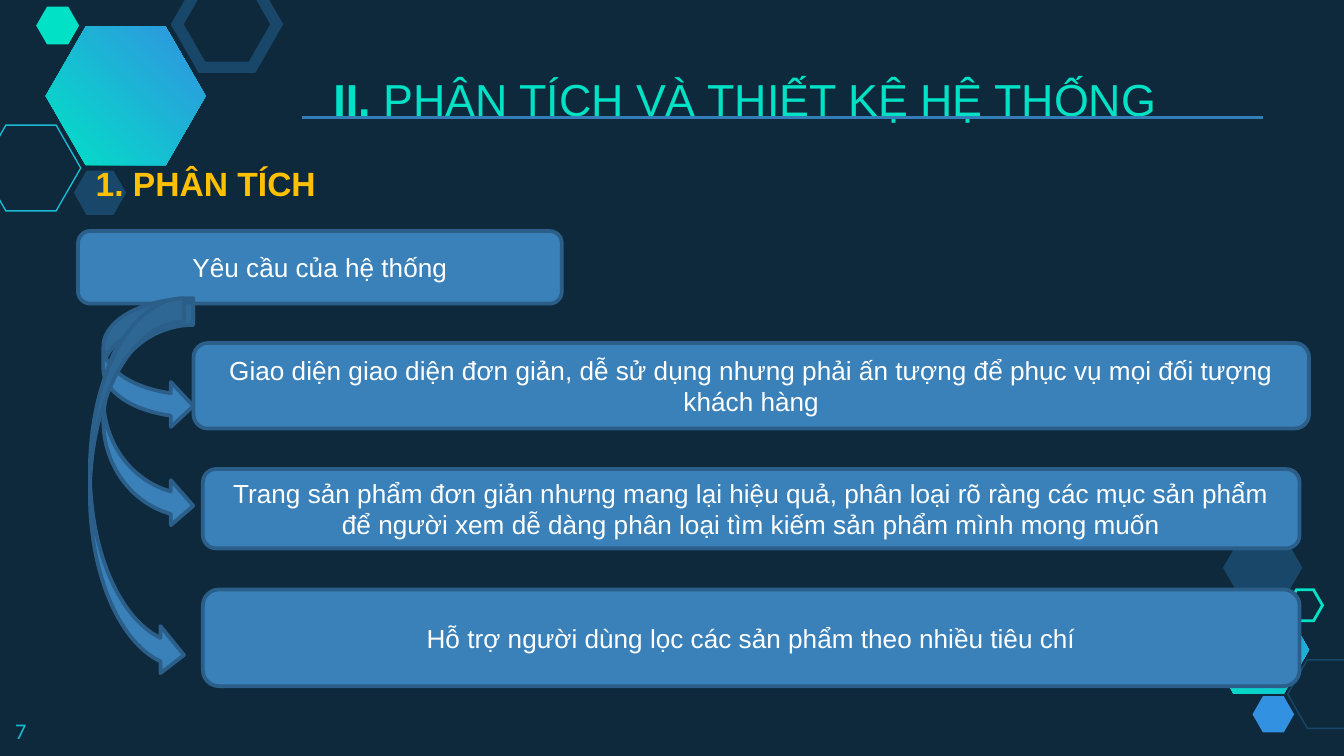
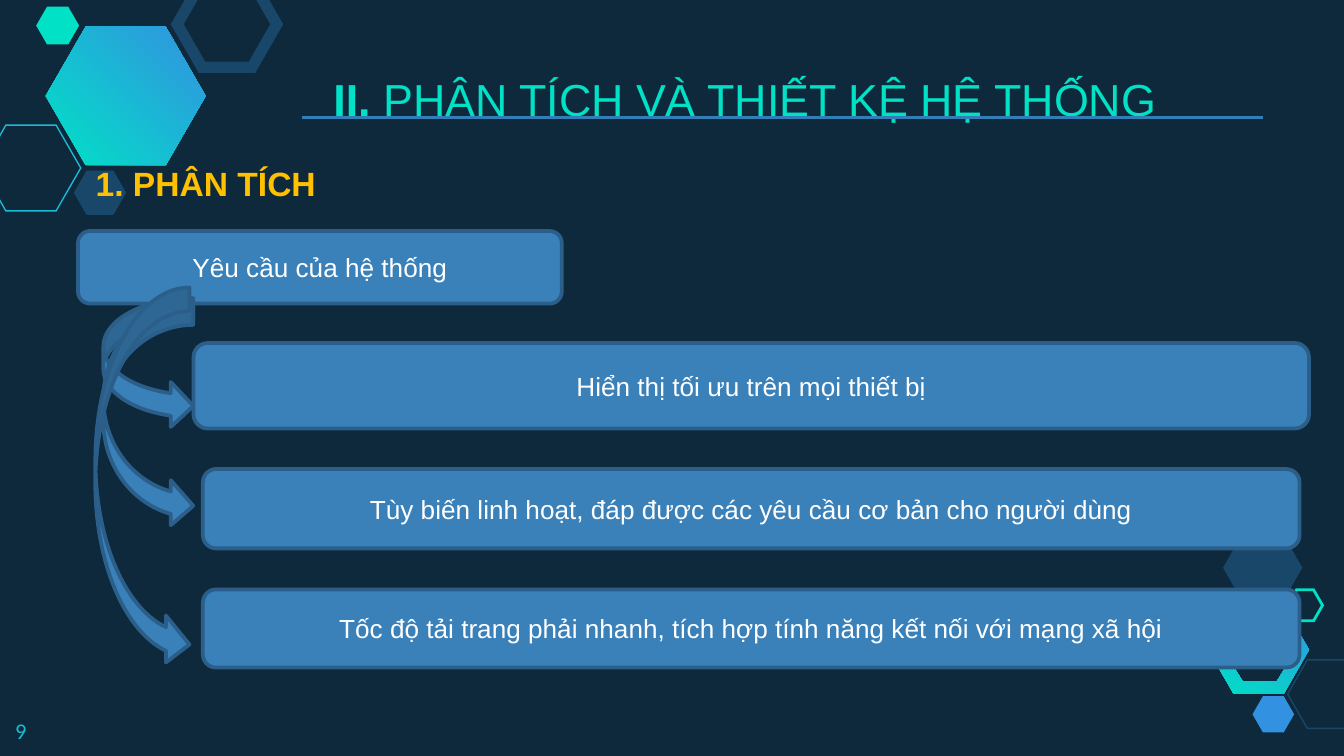
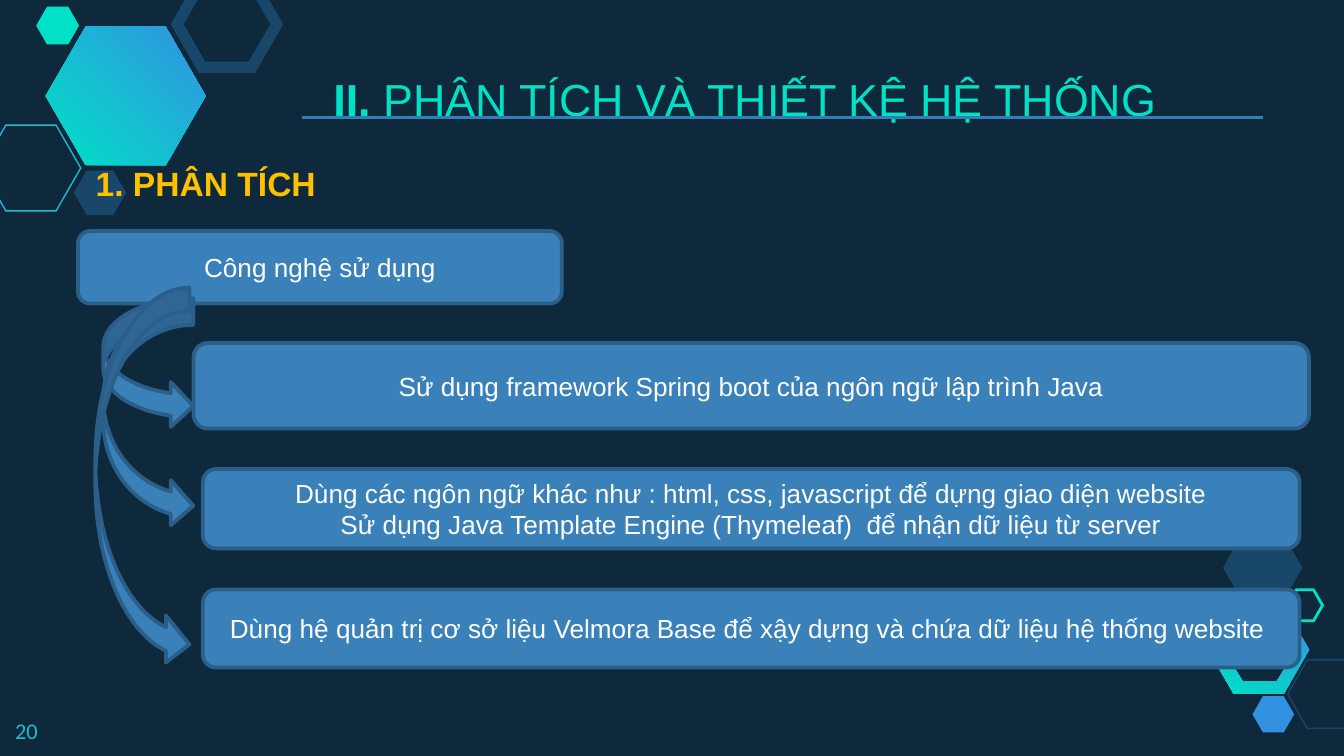
from dataclasses import dataclass

from lxml import etree
from pptx import Presentation
from pptx import util as u
from pptx.dml.color import RGBColor
from pptx.enum import shapes, text
from pptx.oxml.ns import qn

Pt = u.Pt
KIND = shapes.MSO_SHAPE


@dataclass(frozen=True)
class Theme:
    back: str = "0E293C"
    mint: str = "00E1C6"
    cyan: str = "19BBD5"
    blue: str = "3292E1"
    navy: str = "184769"
    rule: str = "347EB8"
    fill: str = "3A81BA"
    edge: str = "2B5F8A"
    gold: str = "FFC000"
    white: str = "FFFFFF"
    font: str = "Arial"
    num_font: str = "Calibri"
    title: int = 24
    head: int = 18
    text: int = 14
    num: int = 12


T = Theme()
rgb = RGBColor.from_string


def pts(*nums):
    return [Pt(n) for n in nums]


def style(item, size, color, font=T.font, bold=None):
    """Set the font of a paragraph or a run."""
    f = item.font
    f.name, f.size, f.bold = font, Pt(size), bold
    f.color.rgb = rgb(color)


def paint(shape, fill=None, line=None, width=1):
    shape.shadow.inherit = False
    if fill:
        shape.fill.solid()
        shape.fill.fore_color.rgb = rgb(fill)
    else:
        shape.fill.background()
    if line:
        shape.line.color.rgb = rgb(line)
        shape.line.width = Pt(width)
    else:
        shape.line.fill.background()


# Hexagon decor
def outline(slide, box, *loops):
    """Closed outlines, in fractions of the box."""
    x, y, w, h = box
    rings = [[tuple(pts(x + a * w, y + b * h)) for a, b in loop] for loop in loops]
    pen = slide.shapes.build_freeform(*rings[0][0])
    pen.add_line_segments(rings[0][1:])
    for ring in rings[1:]:
        pen.move_to(*ring[0])
        pen.add_line_segments(ring[1:])
    return pen.convert_to_shape()


def blend(shape, angle):
    """Fill from blue to mint, unmoved by the shape's rotation."""
    paint(shape)
    shape.fill.gradient()
    shape.fill.gradient_angle = angle
    for stop, color in zip(shape.fill.gradient_stops, (T.blue, T.mint)):
        stop.color.rgb = rgb(color)
    grad = shape.element.spPr.find(qn("a:gradFill"))
    grad.set("rotWithShape", "0")
    return grad


def flat(x, y, w, h, cut):
    """Corners of a flat-topped hexagon."""
    mid, right, low = y + h / 2, x + w, y + h
    return [(x + cut, low), (x, mid), (x + cut, y),
            (right - cut, y), (right, mid), (right - cut, low)]


def decor(slide):
    ring = outline(slide, (647.3, 324.7, 54, 46.8),
                   flat(0, 0, 1, 1, 0.25), flat(0.13, 0.14, 0.72, 0.71, 0.19))
    ring.rotation = 180
    blend(ring, 244)

    big = outline(slide, (30.2, 8.6, 74.2, 85.7),
                  [(0.5, 0), (1, 0.25), (1, 0.75), (0.5, 1), (0, 0.75), (0, 0.25)])
    big.rotation = 90
    grad = blend(big, 0)
    grad.remove(grad.find(qn("a:lin")))
    path = etree.SubElement(grad, qn("a:path"), {"path": "circle"})
    etree.SubElement(path, qn("a:fillToRect"), {"l": "100000", "b": "100000"})

    for box, fill, line, width in (
        ((-10, 67, 53.3, 46), None, T.cyan, 0.75),
        ((39.6, 91.4, 28, 23.8), T.navy, None, 0),
        ((95, -10, 53.3, 46), None, T.navy, 6),
        ((19.4, 3.6, 23, 20.2), T.mint, None, 0),
        ((689.8, 353.5, 42.5, 36.7), None, T.navy, 0.75),
        ((671, 373, 22.3, 19.4), T.blue, None, 0),
        ((655.2, 285.8, 42.5, 36.7), T.navy, None, 0),
        ((689.8, 316, 18.7, 16.6), None, T.mint, 1.5),
    ):
        hexa = slide.shapes.add_shape(KIND.HEXAGON, *pts(*box))
        hexa.adjustments[0] = 0.287
        paint(hexa, fill, line, width)
        etree.SubElement(hexa.element.spPr.find(qn("a:ln")), qn("a:miter"),
                         {"lim": "800000"})


def share(slide):
    """Draw the decor and hand it to the layout, behind its placeholders."""
    layout = slide.slide_layout
    layout.background.fill.solid()
    layout.background.fill.fore_color.rgb = rgb(T.back)
    old = len(slide.shapes)
    decor(slide)
    for i, shape in enumerate(list(slide.shapes)[old:]):
        layout.shapes.element.insert(2 + i, shape.element)


# Title, rule, heading and number
def header(slide, num):
    rule = slide.shapes.add_connector(
        shapes.MSO_CONNECTOR.STRAIGHT, *pts(162, 62.8, 676.8, 62.8))
    rule.line.color.rgb = rgb(T.rule)
    rule.line.width = Pt(1.5)
    etree.SubElement(rule.element.spPr, qn("a:effectLst"))

    title = slide.shapes.title
    title.left, title.top, title.width, title.height = pts(171.4, 5.8, 514.8, 56.9)
    frame = title.text_frame
    frame.auto_size = text.MSO_AUTO_SIZE.NONE
    frame.vertical_anchor = text.MSO_ANCHOR.TOP
    para = frame.paragraphs[0]
    para.alignment = text.PP_ALIGN.LEFT
    para.line_spacing = 2.0
    for words, bold in (("II. ", True), ("PHÂN TÍCH VÀ THIẾT KỆ HỆ THỐNG", False)):
        run = para.add_run()
        run.text = words
        style(run, T.title, T.mint, bold=bold)

    label(slide, (44.2, 83.5, 285.8, 28.8), "1. PHÂN TÍCH",
          T.head, T.gold, bold=True)
    note = label(slide, (1, 376.9, 43.2, 28), num, T.num, T.cyan, T.num_font)
    note.margin_top = note.margin_bottom = Pt(7.2)


def label(slide, box, words, *look, **more):
    frame = slide.shapes.add_textbox(*pts(*box)).text_frame
    frame.word_wrap = True
    frame.text = words
    style(frame.paragraphs[0], *look, **more)
    return frame


# Topic with three points
def card(slide, box, words):
    shape = slide.shapes.add_shape(KIND.ROUNDED_RECTANGLE, *pts(*box))
    paint(shape, T.fill, T.edge, 2)
    frame = shape.text_frame
    frame.word_wrap = True
    frame.vertical_anchor = text.MSO_ANCHOR.MIDDLE
    frame.text = words
    for para in frame.paragraphs:
        para.alignment = text.PP_ALIGN.CENTER
        style(para, T.text, T.white)


def arrow(slide, box):
    shape = slide.shapes.add_shape(KIND.CURVED_RIGHT_ARROW, *pts(*box))
    paint(shape, T.fill, T.edge, 2)


def tree(slide, box, topic, points, last, tall):
    """A topic card and arrows to its points; last and tall suit the third."""
    x, y = box
    card(slide, (x, y, 259.2, 38.9), topic)
    bends = ((13.6, 36, 48.2, 69.8), (13.6, 38.2, 48.2, 121), (*last, 50.4, 203.8))
    spots = ((61.9, 60, 597.6, 45.8), (66.9, 127.5, 587.5, 42.5),
             (66.9, 192, 587.5, tall))
    for bend, spot, words in zip(bends, spots, points):
        for draw, (dx, dy, w, h), args in ((arrow, bend, ()), (card, spot, (words,))):
            draw(slide, (x + dx, y + dy, w, h), *args)


LOW, HIGH = ((6.4, 36), 51.8), ((9.3, 30.3), 41.8)
PAGES = (
    ("7", "Yêu cầu của hệ thống", (
        "Giao diện giao diện đơn giản, dễ sử dụng nhưng phải ấn tượng để phục vụ "
        "mọi đối tượng khách hàng",
        "Trang sản phẩm đơn giản nhưng mang lại hiệu quả, phân loại rõ ràng các mục "
        "sản phẩm để người xem dễ dàng phân loại tìm kiếm sản phẩm mình mong muốn",
        "Hỗ trợ người dùng lọc các sản phẩm theo nhiều tiêu chí"), LOW),
    ("9", "Yêu cầu của hệ thống", (
        "Hiển thị tối ưu trên mọi thiết bị",
        "Tùy biến linh hoạt, đáp được các yêu cầu cơ bản cho người dùng",
        "Tốc độ tải trang phải nhanh, tích hợp tính năng kết nối với mạng xã hội"),
     HIGH),
    ("20", "Công nghệ sử dụng", (
        "Sử dụng framework Spring boot của ngôn ngữ lập trình Java",
        "Dùng các ngôn ngữ khác như : html, css, javascript để dựng giao diện website\n"
        "Sử dụng Java Template Engine (Thymeleaf)  để nhận dữ liệu từ server",
        "Dùng hệ quản trị cơ sở liệu Velmora Base để xậy dựng và chứa dữ liệu "
        "hệ thống website "), HIGH),
)


def main():
    prs = Presentation()
    prs.slide_width, prs.slide_height = pts(720, 405)
    layout = prs.slide_layouts[5]
    for i, (num, topic, points, (last, tall)) in enumerate(PAGES):
        slide = prs.slides.add_slide(layout)
        if i == 0:
            share(slide)
        header(slide, num)
        tree(slide, (41.8, 123.8), topic, points, last, tall)
    prs.save("out.pptx")


if __name__ == "__main__":
    main()
